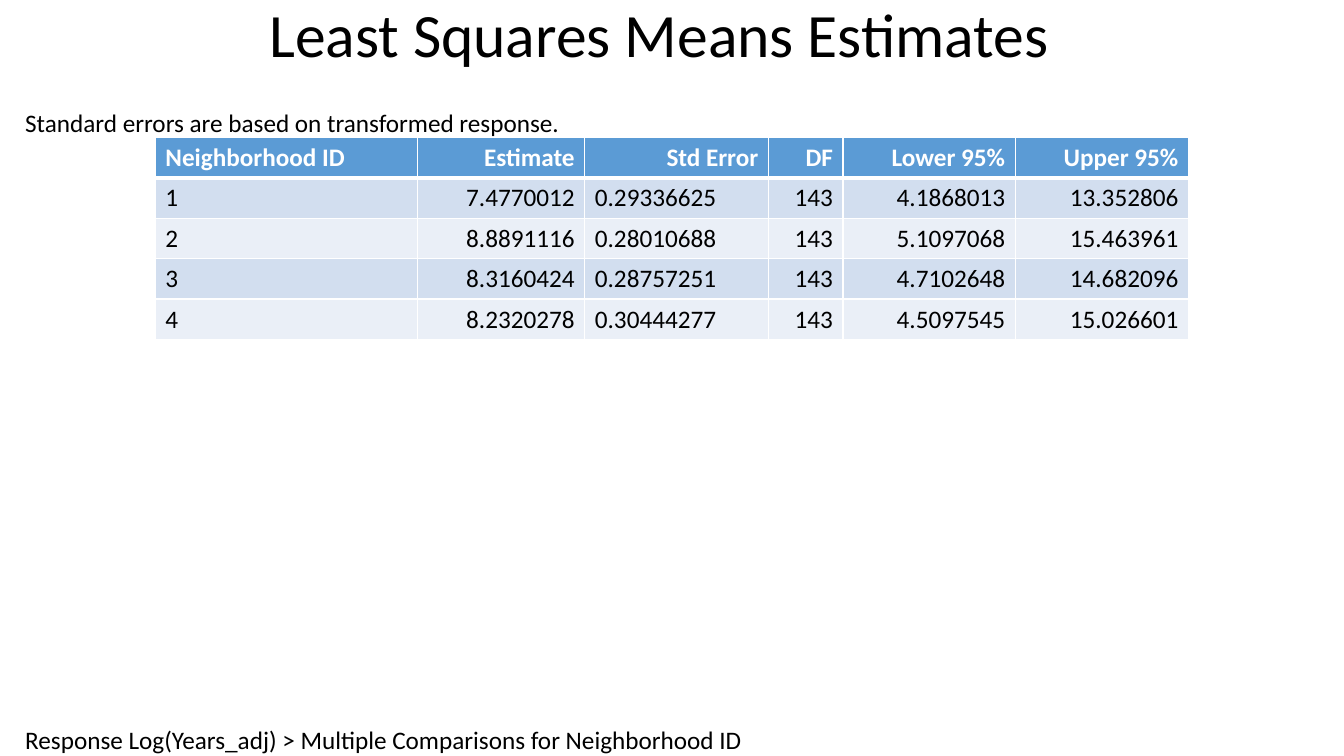
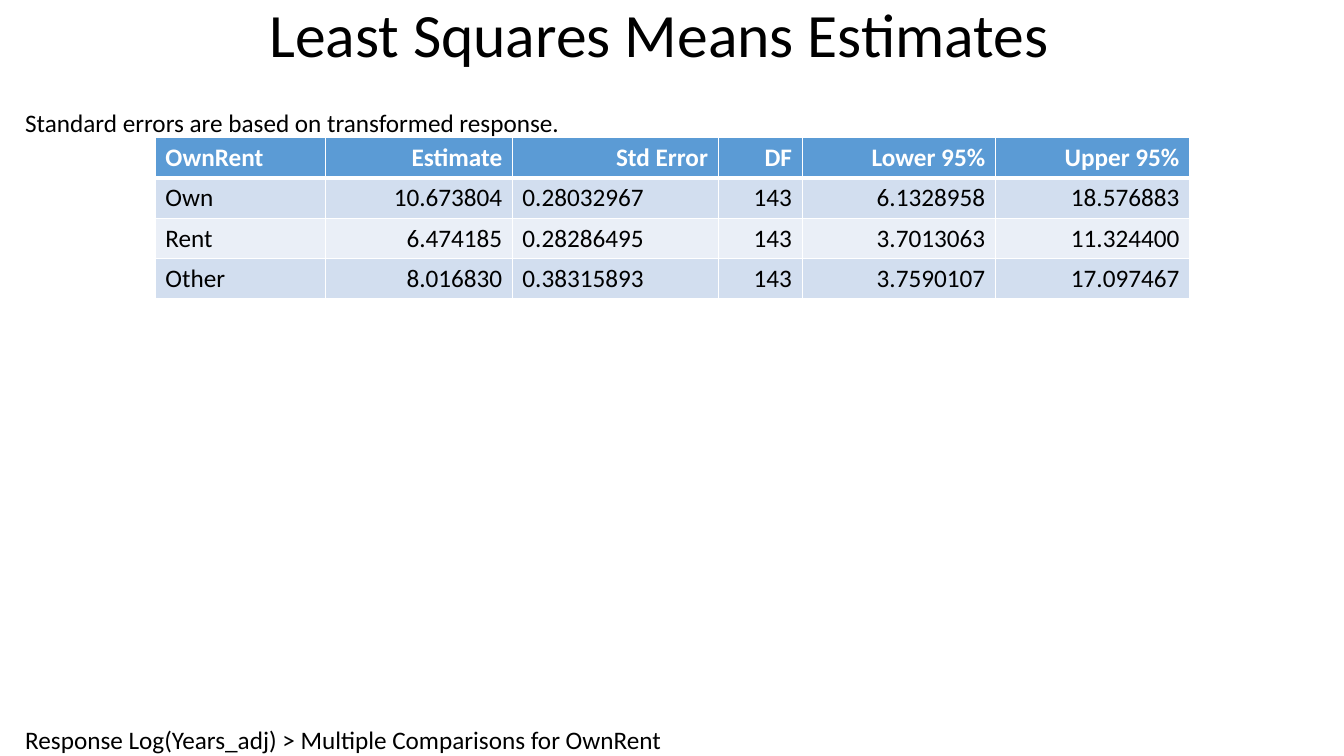
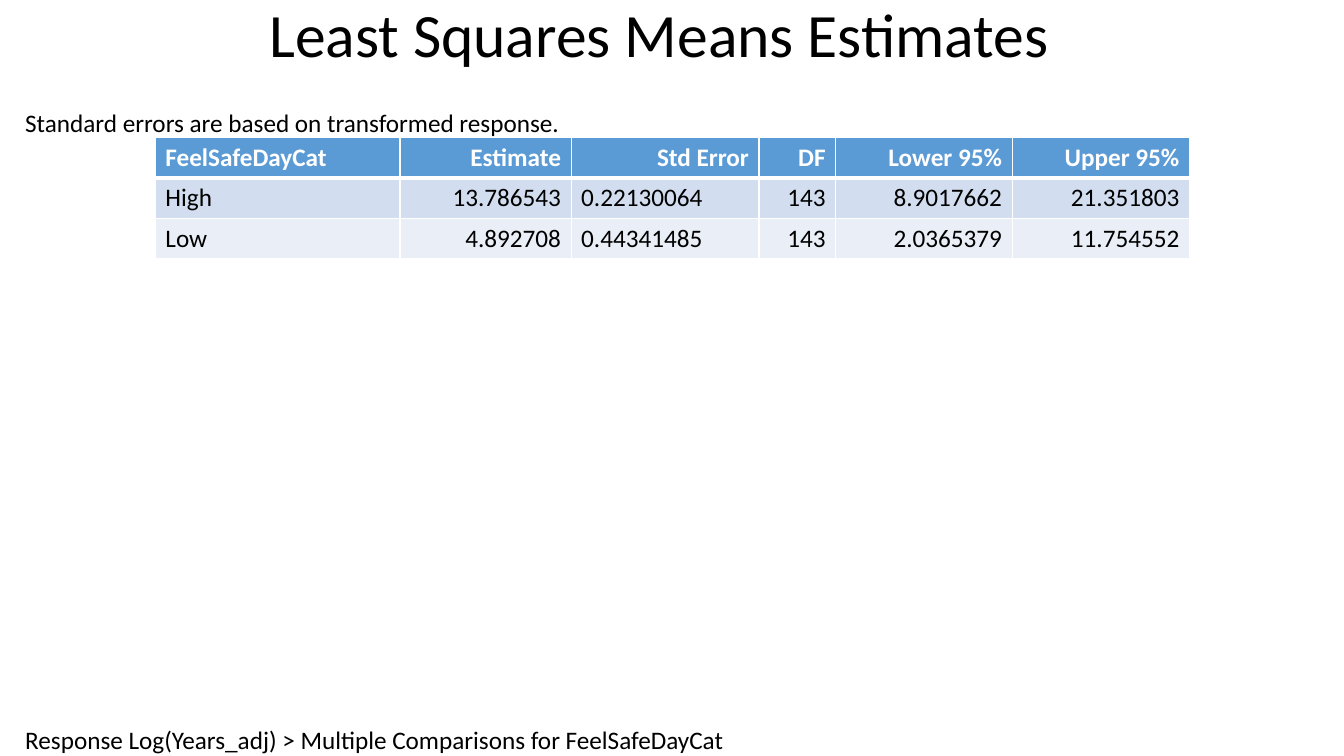
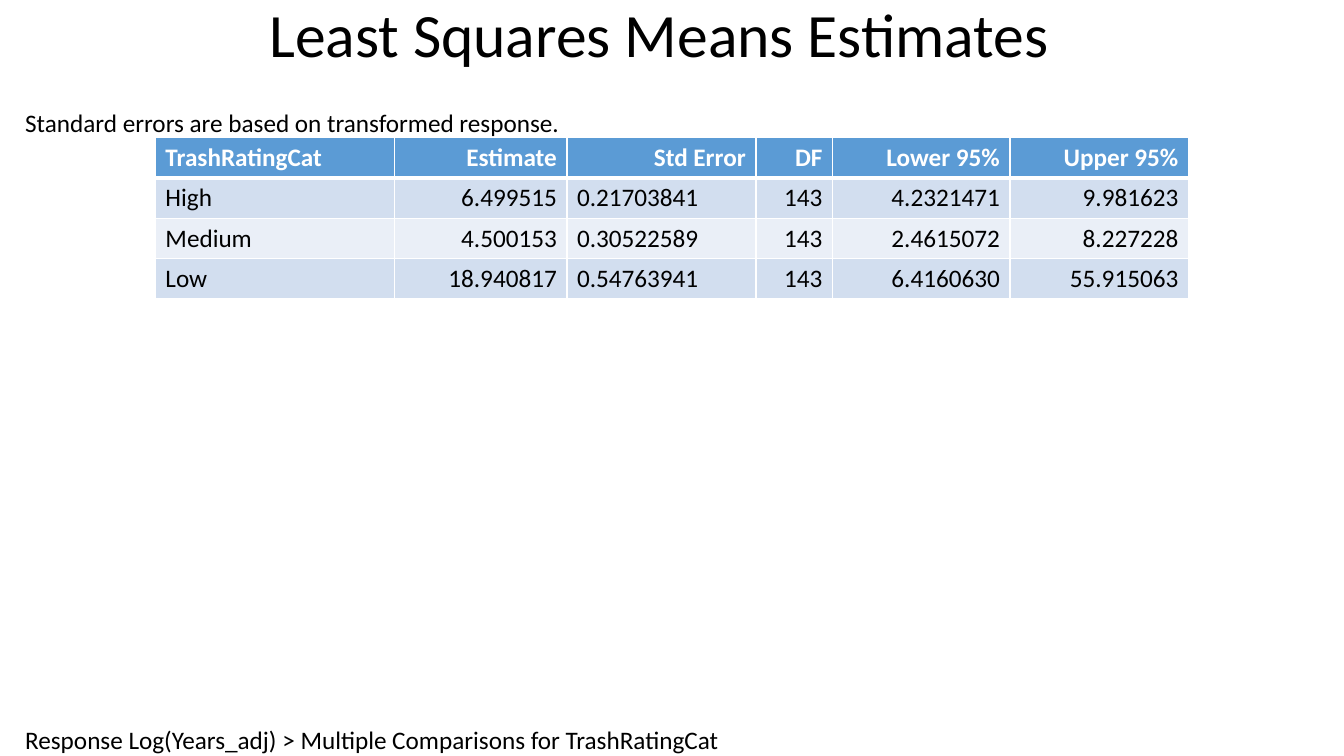
from lxml.etree import SubElement
from pptx import Presentation
from pptx.dml.color import RGBColor
from pptx.enum.text import MSO_ANCHOR, MSO_AUTO_SIZE, PP_ALIGN
from pptx.oxml.ns import qn
from pptx.util import Pt

PX = 9525
WIDE, HIGH = 1280, 720
FONT = "Calibri"
BLACK = RGBColor(0x00, 0x00, 0x00)
WHITE = RGBColor(0xFF, 0xFF, 0xFF)
BLUE = RGBColor(0x5B, 0x9B, 0xD5)
BANDS = RGBColor(0xD2, 0xDE, 0xEF), RGBColor(0xEA, 0xEF, 0xF7)

EDGE = 24
TITLE = (0, 0, 1256, 72)
NOTE = (EDGE, 102, 512, 30)
GRID = (148, 131, 984)
ROW = 38
SHARES = (166, 182, 74, 171, 172)
HEADS = ("Estimate", "Std Error", "DF", "Lower 95%", "Upper 95%")
LEFT_COLS = (0, 2)

# Factor, width of its column, width of its footer, rows
FACTORS = [
    ("Neighborhood ID", 250, 691, [
        ("1", "7.4770012", "0.29336625", "143", "4.1868013", "13.352806"),
        ("2", "8.8891116", "0.28010688", "143", "5.1097068", "15.463961"),
        ("3", "8.3160424", "0.28757251", "143", "4.7102648", "14.682096"),
        ("4", "8.2320278", "0.30444277", "143", "4.5097545", "15.026601"),
    ]),
    ("OwnRent", 162, 613, [
        ("Own", "10.673804", "0.28032967", "143", "6.1328958", "18.576883"),
        ("Rent", "6.474185", "0.28286495", "143", "3.7013063", "11.324400"),
        ("Other", "8.016830", "0.38315893", "143", "3.7590107", "17.097467"),
    ]),
    ("FeelSafeDayCat", 233, 675, [
        ("High", "13.786543", "0.22130064", "143", "8.9017662", "21.351803"),
        ("Low", "4.892708", "0.44341485", "143", "2.0365379", "11.754552"),
    ]),
    ("TrashRatingCat", 228, 671, [
        ("High", "6.499515", "0.21703841", "143", "4.2321471", "9.981623"),
        ("Medium", "4.500153", "0.30522589", "143", "2.4615072", "8.227228"),
        ("Low", "18.940817", "0.54763941", "143", "6.4160630", "55.915063"),
    ]),
]


def scale(*sizes):
    return [size * PX for size in sizes]


def style(para, size, color, align=PP_ALIGN.LEFT, bold=False):
    para.alignment = align
    font = para.font
    font.name, font.size, font.bold = FONT, Pt(size), bold
    font.color.rgb = color


def add_title(slide, box, text):
    frame = slide.shapes.add_textbox(*scale(*box)).text_frame
    frame.word_wrap = True
    frame.vertical_anchor = MSO_ANCHOR.MIDDLE
    frame.text = text
    para = frame.paragraphs[0]
    para.line_spacing = 0.9
    style(para, 44, BLACK, PP_ALIGN.CENTER)


def add_line(slide, box, text):
    """Place one unwrapped line of text without insets."""
    frame = slide.shapes.add_textbox(*scale(*box)).text_frame
    frame.margin_left = frame.margin_right = 0
    frame.margin_top = frame.margin_bottom = 0
    frame.word_wrap = False
    frame.auto_size = MSO_AUTO_SIZE.SHAPE_TO_FIT_TEXT
    frame.text = text
    style(frame.paragraphs[0], 18, BLACK)


def set_edges(cell, top, bottom):
    """Draw white cell borders; widths are in points."""
    props = cell._tc.get_or_add_tcPr()
    for side, width in zip("LRTB", (1, 1, top, bottom)):
        line = SubElement(props, qn(f"a:ln{side}"), w=str(Pt(width)))
        fill = SubElement(line, qn("a:solidFill"))
        SubElement(fill, qn("a:srgbClr"), val=str(WHITE))


def add_grid(slide, box, first, rows):
    """Place a table whose other columns share what the first leaves."""
    left, top, width = box
    table = slide.shapes.add_table(
        len(rows), len(rows[0]),
        *scale(left, top, width, ROW * len(rows))).table
    rest = [round((width - first) * part / sum(SHARES)) for part in SHARES]
    for col, size in zip(table.columns, scale(first, *rest)):
        col.width = size
    for r, row in enumerate(rows):
        head = r == 0
        for c, text in enumerate(row):
            cell = table.cell(r, c)
            set_edges(cell, 3 if r == 1 else 1, 3 if head else 1)
            cell.fill.solid()
            cell.fill.fore_color.rgb = BLUE if head else BANDS[(r - 1) % 2]
            cell.text = text
            flush = c == 0 or (c in LEFT_COLS and not head)
            style(cell.text_frame.paragraphs[0], 18,
                  WHITE if head else BLACK,
                  PP_ALIGN.LEFT if flush else PP_ALIGN.RIGHT, head)


def add_means(deck, factor, first, foot, rows):
    slide = deck.slides.add_slide(deck.slide_layouts[6])
    add_line(slide, (EDGE, HIGH - 30, foot, 30),
             f"Response Log(Years_adj) > Multiple Comparisons for {factor}")
    add_title(slide, TITLE, "Least Squares Means Estimates")
    add_line(slide, NOTE, "Standard errors are based on transformed response.")
    add_grid(slide, GRID, first, [(factor, *HEADS), *rows])


def main():
    deck = Presentation()
    deck.slide_width, deck.slide_height = scale(WIDE, HIGH)
    for factor in FACTORS:
        add_means(deck, *factor)
    deck.save("out.pptx")


if __name__ == "__main__":
    main()
